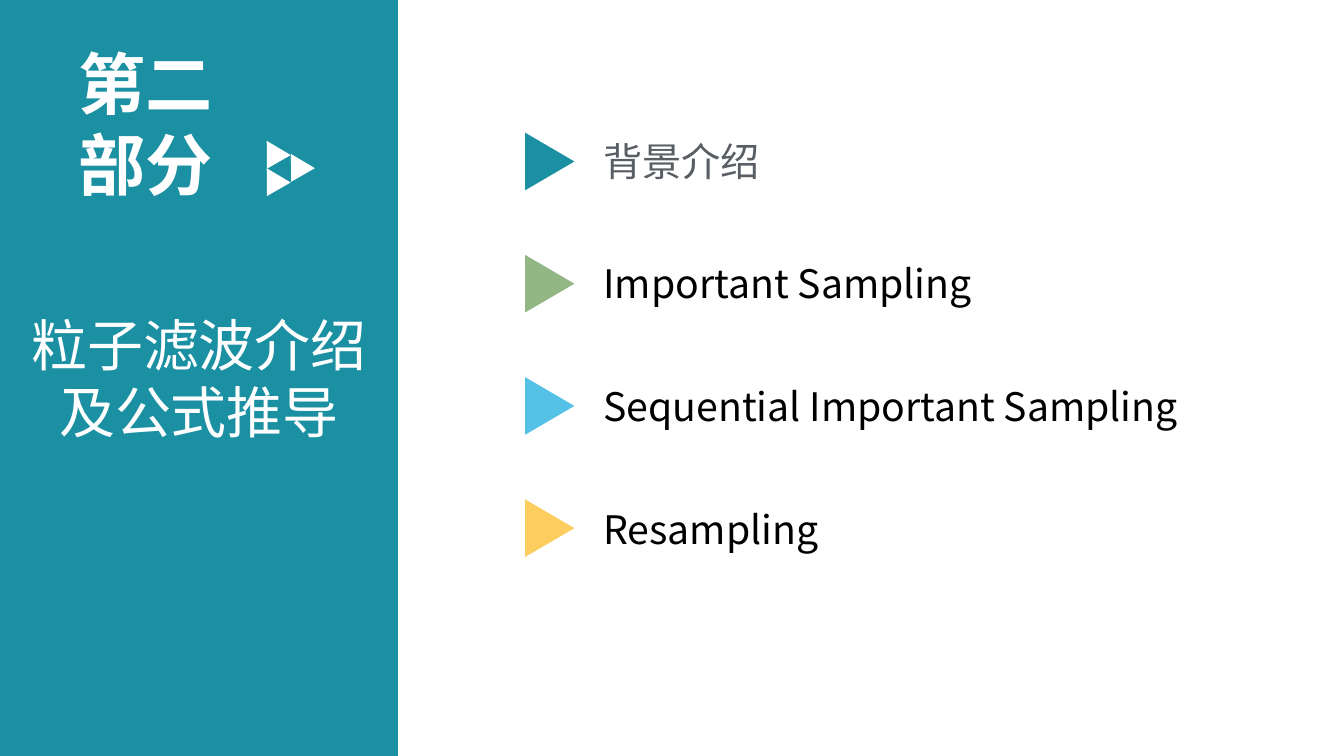
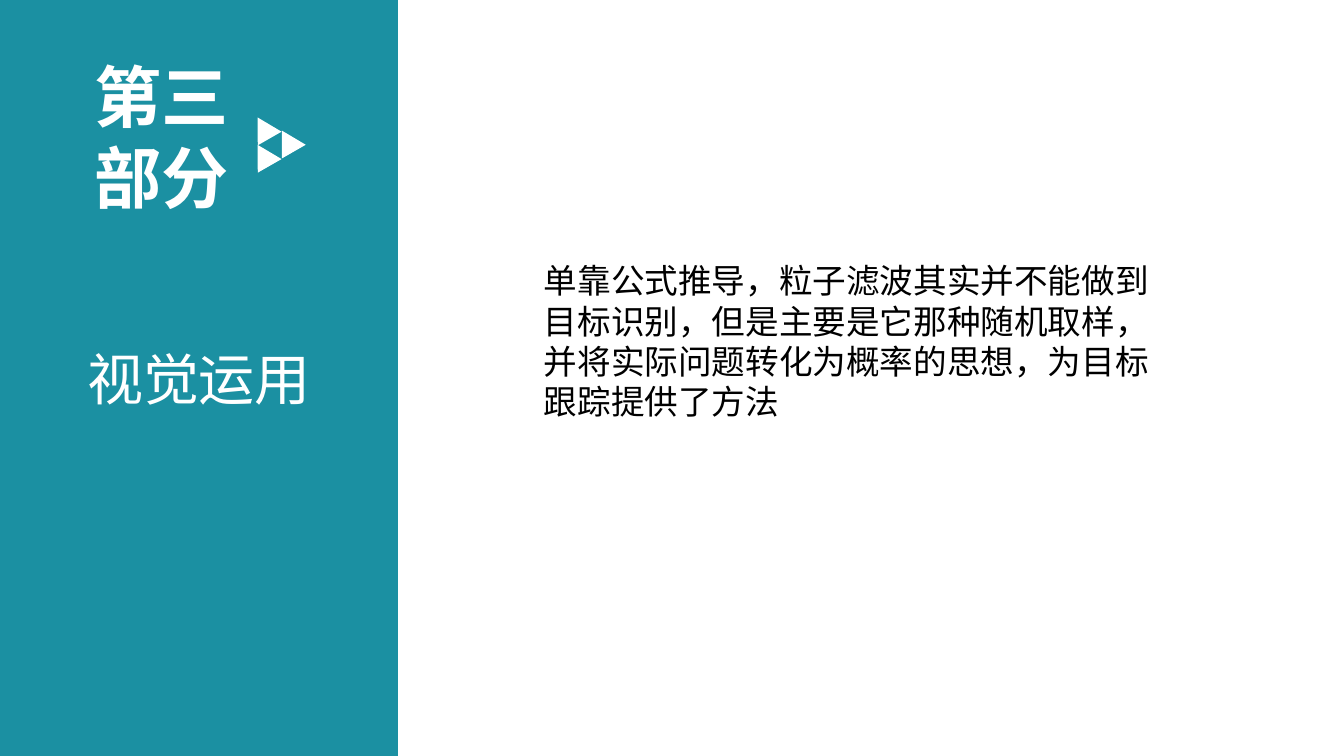
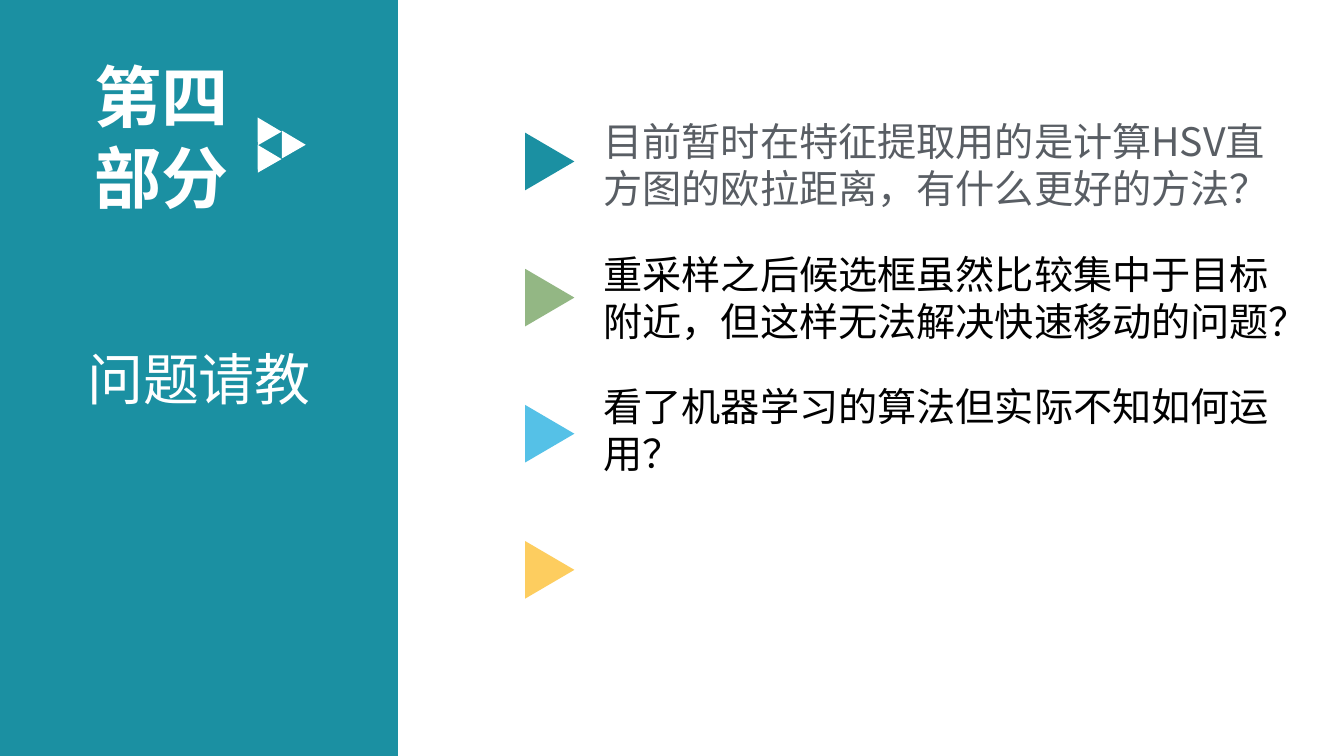
from lxml import etree
from pptx import Presentation
from pptx.dml.color import RGBColor
from pptx.enum.shapes import MSO_SHAPE
from pptx.enum.text import MSO_ANCHOR, PP_ALIGN
from pptx.oxml.ns import qn
from pptx.util import Cm, Pt

RECT = MSO_SHAPE.RECTANGLE
TRI = MSO_SHAPE.ISOSCELES_TRIANGLE
LEFT, MID = PP_ALIGN.LEFT, PP_ALIGN.CENTER
TOP, CORE = MSO_ANCHOR.TOP, MSO_ANCHOR.MIDDLE
SANS = "Noto Sans CJK SC"
HUES = {
    "teal": "1B90A2",
    "green": "93B784",
    "blue": "55C1E7",
    "gold": "FDCD5F",
    "gray": "595E64",
    "black": "000000",
    "white": "FFFFFF",
}
ARROWS = ("teal", "green", "blue", "gold")


def tint(name):
    return RGBColor.from_string(HUES[name])


def write(shape, text, size=28, hue="black", font=SANS, bold=False,
          align=LEFT, anchor=TOP):
    frame = shape.text_frame
    frame.word_wrap = True
    frame.vertical_anchor = anchor
    para = frame.paragraphs[0]
    para.alignment = align
    run = para.add_run()
    run.text = text
    face = run.font
    face.size = Pt(size)
    face.bold = bold
    face.name = font
    face.color.rgb = tint(hue)
    asian = etree.SubElement(run._r.get_or_add_rPr(), qn("a:ea"))
    asian.set("typeface", SANS)


class Deck:
    def __init__(self):
        self.show = Presentation()
        self.show.slide_width = Cm(33.87)
        self.show.slide_height = Cm(19.05)
        self.slide = None

    def shape(self, kind, box, hue, turn=0, group=None):
        home = group or self.slide
        item = home.shapes.add_shape(kind, *map(Cm, box))
        item.shadow.inherit = False
        item.fill.solid()
        item.fill.fore_color.rgb = tint(hue)
        item.line.fill.background()
        item.rotation = turn
        return item

    def label(self, text, box, **style):
        write(self.slide.shapes.add_textbox(*map(Cm, box)), text, **style)

    def emblem(self, left, top):
        group = self.slide.shapes.add_group_shape()
        for right, down in ((0, 0), (0, 0.69), (0.61, 0.33)):
            box = (left + right, top + down, 0.69, 0.61)
            self.shape(TRI, box, "white", 330.2, group)

    def section(self, part, topic, title=(2.13, 1.27), emblem=(6.3, 2.92)):
        self.slide = self.show.slides.add_slide(self.show.slide_layouts[6])
        band = self.shape(RECT, (0, 0, 10.03, 19.05), "teal")
        write(band, topic, size=40, hue="white", align=MID, anchor=CORE)
        self.label(part, (*title, 4.42, 4.37), size=48, hue="white", bold=True)
        self.emblem(*emblem)

    def points(self, items, top, step, height):
        for row, (text, width) in enumerate(items):
            box = (14.96, top + row * step, width, height)
            self.label(text, box, hue="black" if row else "gray")

    def arrows(self, step):
        for row, hue in enumerate(ARROWS):
            self.shape(TRI, (13.13, 3.45 + row * step, 1.45, 1.24), hue, 90)


deck = Deck()

deck.section("第二部分", "粒子滤波介绍及公式推导", (1.73, 0.94), (6.53, 3.51))
deck.points([
    ("背景介绍", 10.16),
    ("Important Sampling", 10.16),
    ("Sequential Important Sampling", 16.94),
    ("Resampling", 10.16),
], top=3.33, step=3.09, height=1.45)
deck.arrows(3.08)

deck.section("第三部分", "视觉运用")
deck.label(
    "单靠公式推导，粒子滤波其实并不能做到目标识别，"
    "但是主要是它那种随机取样，并将实际问题转化为概率的思想，"
    "为目标跟踪提供了方法",
    (13.46, 6.43, 16.08, 4.37), size=24, font="Arial")

deck.section("第四部分", "问题请教")
deck.points([
    ("目前暂时在特征提取用的是计算HSV直方图的欧拉距离，有什么更好的方法？", 17.4),
    ("重采样之后候选框虽然比较集中于目标附近，但这样无法解决快速移动的问题？", 17.4),
    ("看了机器学习的算法但实际不知如何运用？", 17.4),
], top=2.84, step=3.34, height=2.64)
deck.arrows(3.43)

deck.show.save("out.pptx")
